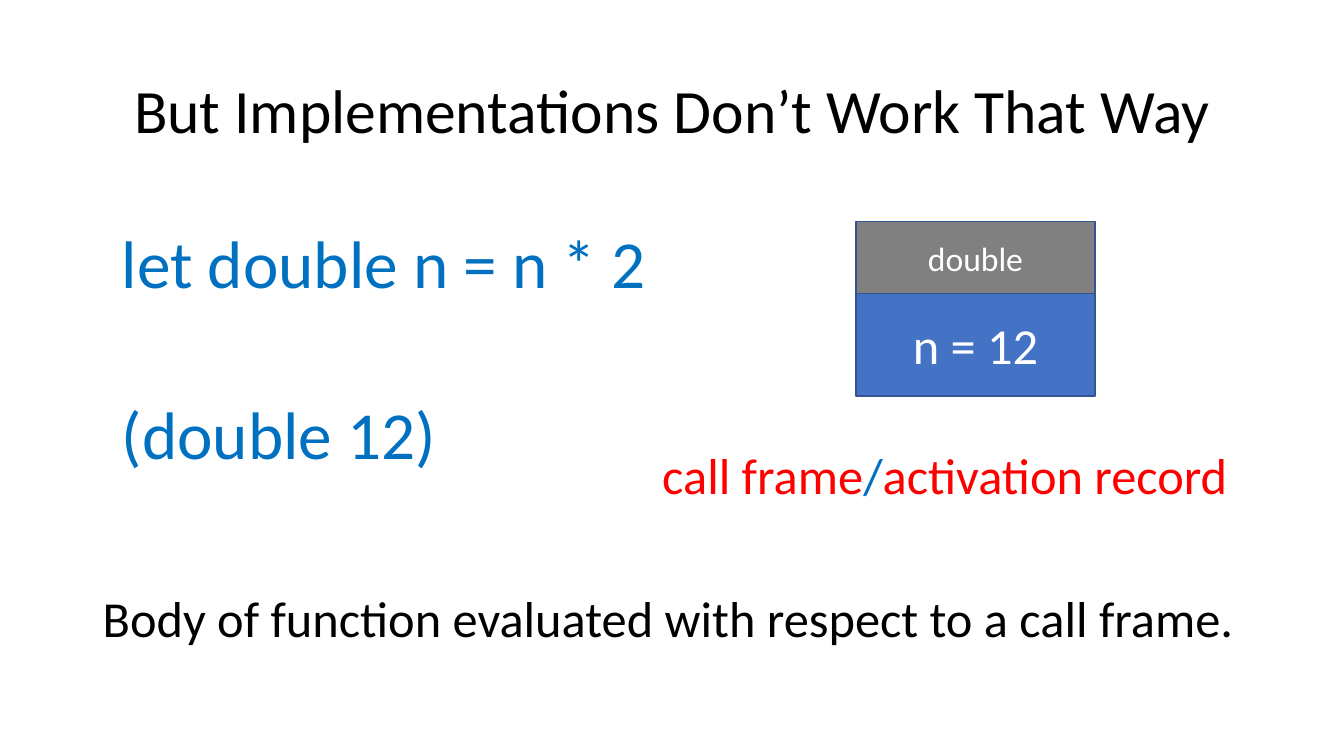
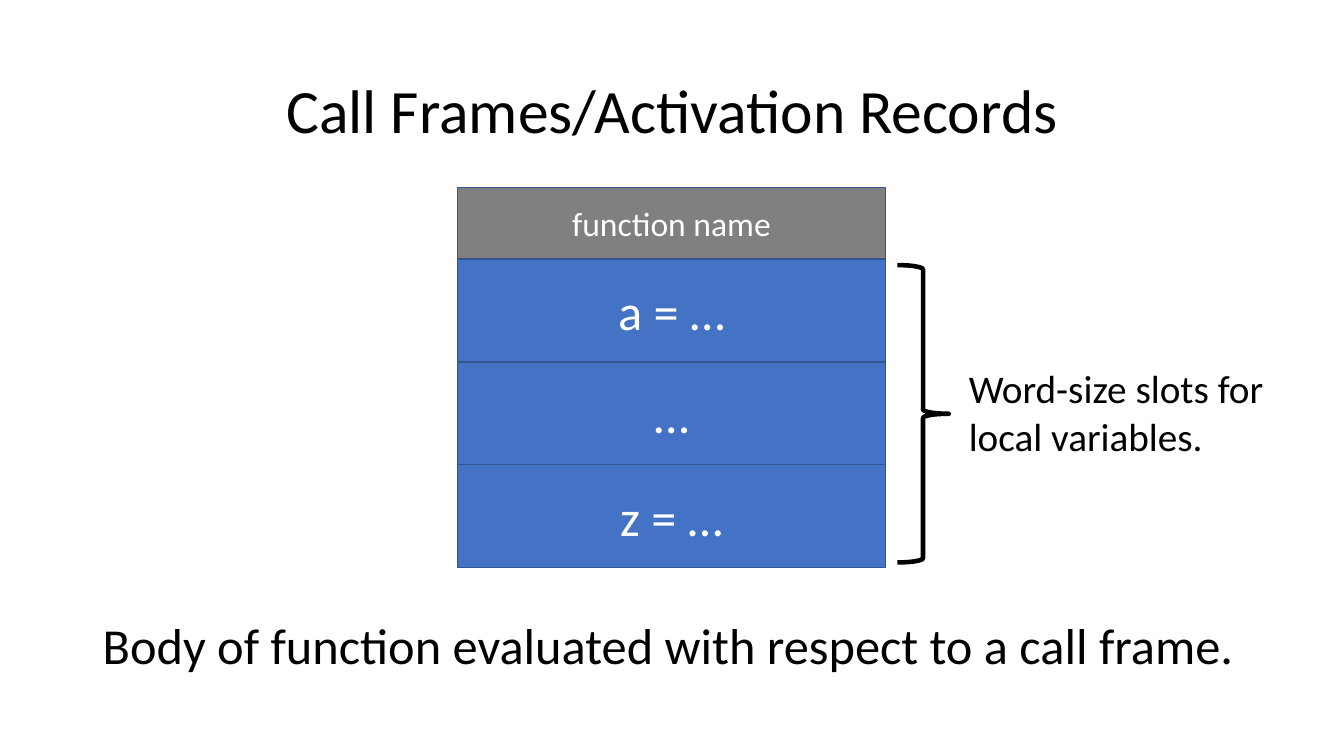
import pptx
import pptx.dml.color
import pptx.enum.shapes
import pptx.enum.text
import pptx.util

SCALE = 9144
SLIDE_WIDTH, SLIDE_HEIGHT = 1333, 750
MARGIN, CONTENT_WIDTH = 92, 1150
HEADER_HEIGHT, SLOT_HEIGHT = 71, 102
BLACK, WHITE, RED = "000000", "FFFFFF", "FF0000"
CODE_BLUE, SLOT_BLUE, EDGE_BLUE, HEADER_GREY = "0070C0", "4472C4", "325491", "808080"
SUMMARY = "Body of function evaluated with respect to a call frame."

ALIGN = pptx.enum.text.PP_ALIGN
ANCHOR = pptx.enum.text.MSO_ANCHOR
AUTO_SIZE = pptx.enum.text.MSO_AUTO_SIZE
SHAPE = pptx.enum.shapes.MSO_SHAPE


def px(*lengths):
    return [pptx.util.Emu(length * SCALE) for length in lengths]


def colour(value):
    return pptx.dml.color.RGBColor.from_string(value)


def apply(target, values):
    for name, value in values.items():
        setattr(target, name, value)


class Deck:
    """Builds call-frame slides in one shared style."""

    def __init__(self):
        self.presentation = pptx.Presentation()
        width, height = px(SLIDE_WIDTH, SLIDE_HEIGHT)
        apply(self.presentation, {"slide_width": width, "slide_height": height})
        self.slide = None

    def set_text(self, shape, runs, size, frame_format, paragraph_format):
        frame = shape.text_frame
        apply(frame, {"word_wrap": True, **frame_format})
        paragraph = frame.paragraphs[0]
        apply(paragraph, paragraph_format)
        for text, text_colour in runs:
            run = paragraph.add_run()
            run.text = text
            apply(run.font, {"name": "Calibri", "size": pptx.util.Pt(size)})
            run.font.color.rgb = colour(text_colour)

    def add_slide(self, title):
        self.slide = self.presentation.slides.add_slide(self.presentation.slide_layouts[5])
        shape = self.slide.shapes.title
        box = px(MARGIN, 40, CONTENT_WIDTH, 145)
        apply(shape, dict(zip(("left", "top", "width", "height"), box)))
        self.set_text(shape, [(title, BLACK)], 44,
                      {"vertical_anchor": ANCHOR.MIDDLE, "auto_size": AUTO_SIZE.NONE},
                      {"alignment": ALIGN.CENTER, "line_spacing": 0.9})

    def add_text(self, box, size, *runs):
        shape = self.slide.shapes.add_textbox(*px(*box))
        self.set_text(shape, runs, size, {"auto_size": AUTO_SIZE.SHAPE_TO_FIT_TEXT},
                      {"alignment": ALIGN.LEFT})

    def add_summary(self, top):
        self.add_text((MARGIN, top, CONTENT_WIDTH, 71), 36, (SUMMARY, BLACK))

    def add_shape(self, kind, box, line_colour, line_width):
        shape = self.slide.shapes.add_shape(kind, *px(*box))
        shape.shadow.inherit = False
        shape.line.color.rgb = colour(line_colour)
        shape.line.width = pptx.util.Pt(line_width)
        return shape

    def add_cell(self, box, text, size, fill):
        shape = self.add_shape(SHAPE.RECTANGLE, box, EDGE_BLUE, 1)
        shape.fill.solid()
        shape.fill.fore_color.rgb = colour(fill)
        self.set_text(shape, [(text, WHITE)], size, {"vertical_anchor": ANCHOR.MIDDLE},
                      {"alignment": ALIGN.CENTER})

    def add_call_frame(self, left, top, width, name, slots):
        self.add_cell((left, top, width, HEADER_HEIGHT), name, 24, HEADER_GREY)
        for index, slot in enumerate(slots):
            slot_top = top + HEADER_HEIGHT + index * SLOT_HEIGHT
            self.add_cell((left, slot_top, width, SLOT_HEIGHT), slot, 36, SLOT_BLUE)

    def add_brace(self, box):
        self.add_shape(SHAPE.RIGHT_BRACE, box, BLACK, 3.25).fill.background()


def main():
    deck = Deck()

    deck.add_slide("But Implementations Don’t Work That Way")
    deck.add_text((111, 215, 582, 91), 48, ("let double n = n * 2", CODE_BLUE))
    deck.add_text((111, 384, 335, 91), 48, ("(double 12)", CODE_BLUE))
    deck.add_call_frame(849, 220, 237, "double", ["n = 12"])
    deck.add_text((647, 436, 594, 71), 36, ("call frame", RED), ("/", CODE_BLUE),
                  ("activation record", RED))
    deck.add_summary(578)

    deck.add_slide("Call Frames/Activation Records")
    deck.add_summary(604)
    deck.add_call_frame(454, 186, 424, "function name", ["a = …", "…", "z = …"])
    deck.add_brace((890, 263, 51, 295))
    deck.add_text((951, 357, 351, 104), 28, ("Word-size slots for local variables.", BLACK))

    deck.presentation.save("out.pptx")


if __name__ == "__main__":
    main()
